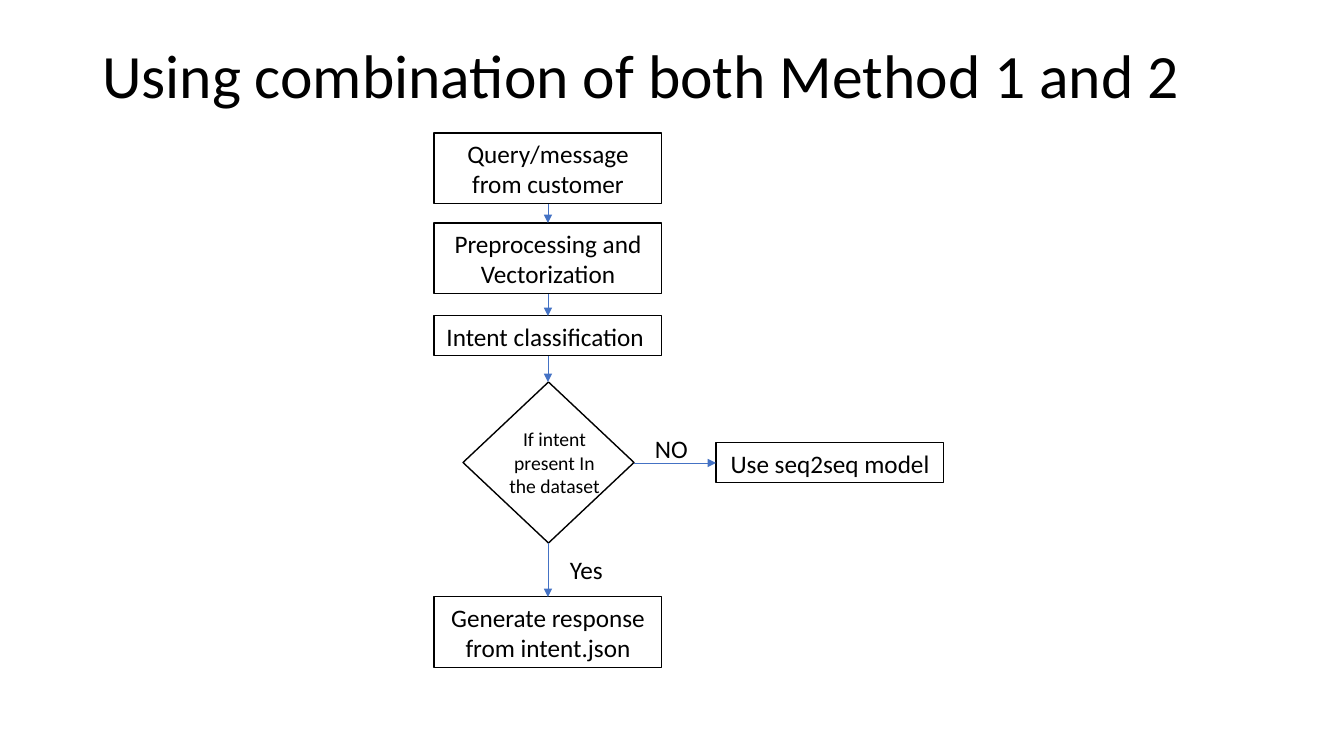
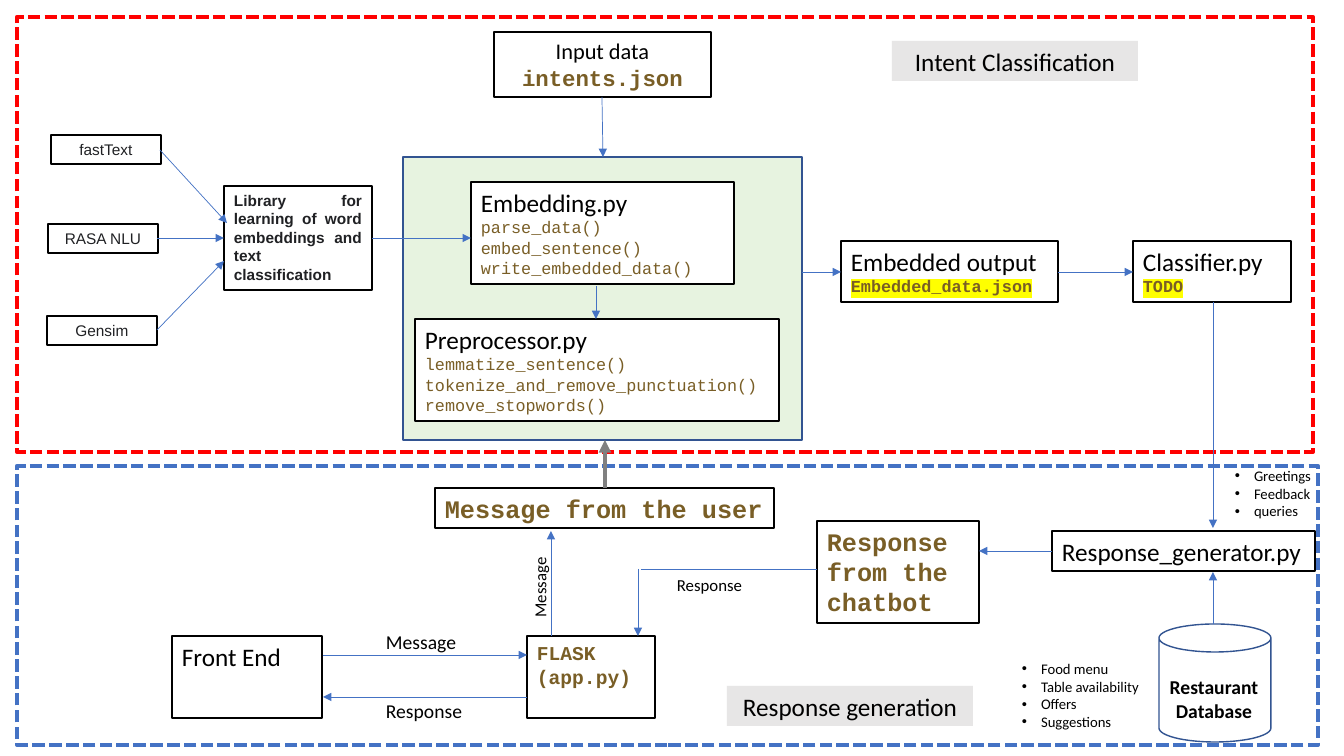
"""Two slides on a chatbot: a decision flowchart and its architecture."""
from dataclasses import dataclass
from itertools import pairwise

from lxml import etree
from pptx import Presentation, util as u
from pptx.dml.color import RGBColor
from pptx.enum import dml, shapes, text
from pptx.oxml.ns import qn
from pptx.slide import Slide

PIXEL = 914400 / 100.8
COLORS = {
    "black": "000000", "white": "FFFFFF", "ink": "202124", "code": "795E26",
    "blue": "4472C4", "navy": "325491", "red": "FF0000", "gray": "808080",
    "tag": "E7E6E6", "panel": "E2F0D9", "marker": "FFFF00",
}
# style: font name, points, bold, colour
STYLES = {
    "title": ("Calibri", 44, False, "black"),
    "heading": ("Calibri", 18, False, "black"),
    "input": ("Calibri", 16, False, "black"),
    "note": ("Calibri", 14, False, "black"),
    "store": ("Calibri", 14, True, "black"),
    "small": ("Calibri", 12, False, "black"),
    "item": ("Calibri", 10.5, False, "black"),
    "library": ("Arial", 11, False, "ink"),
    "purpose": ("Arial", 11, True, "ink"),
    "code": ("Courier New", 12, False, "code"),
    "marked": ("Courier New", 12, True, "code"),
    "app": ("Courier New", 14, True, "code"),
    "file": ("Courier New", 16, True, "code"),
    "message": ("Courier New", 18, True, "code"),
}
LEFT, CENTER, JUSTIFY = (text.PP_ALIGN.LEFT, text.PP_ALIGN.CENTER,
                         text.PP_ALIGN.JUSTIFY)


def px(value):
    """Turn pixels into EMU."""
    return u.Emu(round(value * PIXEL))


def rgb(name):
    """Look up a named colour."""
    return RGBColor.from_string(COLORS[name])


def add_child(parent, tag, **attributes):
    """Append a DrawingML element to its parent."""
    return etree.SubElement(parent, qn(tag), attributes)


def format_run(run, style):
    """Apply a named text style to a run."""
    name, size, bold, color = STYLES[style]
    values = {"name": name, "size": u.Pt(size), "bold": bold}
    for attribute, value in values.items():
        setattr(run.font, attribute, value)
    run.font.color.rgb = rgb(color)
    if style == "marked":
        highlight = etree.Element(qn("a:highlight"))
        add_child(highlight, "a:srgbClr", val=COLORS["marker"])
        run.font._element.find(qn("a:solidFill")).addnext(highlight)


def add_bullet(paragraph):
    """Give a paragraph a round bullet with a hanging indent."""
    properties = paragraph._p.get_or_add_pPr()
    indent = u.Inches(0.19)
    properties.set("marL", str(indent))
    properties.set("indent", str(-indent))
    add_child(properties, "a:buFont", typeface="Arial")
    add_child(properties, "a:buChar", char="•")


def write(shape, lines, align):
    """Write (text, style) lines into a shape from the top."""
    frame = shape.text_frame
    values = {"word_wrap": True, "auto_size": text.MSO_AUTO_SIZE.NONE,
              "vertical_anchor": text.MSO_ANCHOR.TOP}
    for attribute, value in values.items():
        setattr(frame, attribute, value)
    for index, (words, style) in enumerate(lines):
        paragraph = frame.add_paragraph() if index else frame.paragraphs[0]
        paragraph.alignment = align
        run = paragraph.add_run()
        run.text = words
        format_run(run, style)
        if style == "item":
            add_bullet(paragraph)


@dataclass
class Region:
    """A part of a slide; positions are relative to its top left corner."""
    slide: Slide
    left: int
    top: int
    width: int
    height: int

    def place(self, left, top, width, height):
        """Return a box in slide coordinates."""
        return (px(self.left + left), px(self.top + top),
                px(width), px(height))

    def box(self, place, *lines, align=LEFT, fill="white", line="black",
            weight=1, kind=shapes.MSO_SHAPE.RECTANGLE):
        """Add a preset shape, with text if lines are given."""
        shape = self.slide.shapes.add_shape(kind, *self.place(*place))
        shape.shadow.inherit = False
        if fill:
            shape.fill.solid()
            shape.fill.fore_color.rgb = rgb(fill)
        else:
            shape.fill.background()
        if line:
            shape.line.color.rgb = rgb(line)
            shape.line.width = u.Pt(weight)
        else:
            shape.line.fill.background()
        if lines:
            write(shape, lines, align)
        return shape

    def label(self, place, *lines, align=LEFT):
        """Add a plain text box."""
        shape = self.slide.shapes.add_textbox(*self.place(*place))
        write(shape, lines, align)
        return shape

    def tag(self, left, top, words):
        """Add the gray name tag of a region."""
        self.box((left, top, 246, 40), (words, "heading"), align=CENTER,
                 fill="tag", line=None)

    def outline(self, color):
        """Draw the dashed frame of the region."""
        frame = self.box((0, 0, self.width, self.height), fill=None,
                         line=color, weight=3)
        frame.line.dash_style = dml.MSO_LINE.SQUARE_DOT

    def arrow(self, x1, y1, x2, y2, color="blue", weight=0.5, head=True):
        """Draw a straight line, by default with an arrowhead at its end."""
        start = self.place(x1, y1, 0, 0)[:2]
        end = self.place(x2, y2, 0, 0)[:2]
        connector = self.slide.shapes.add_connector(
            shapes.MSO_CONNECTOR.STRAIGHT, *start, *end)
        connector.line.color.rgb = rgb(color)
        connector.line.width = u.Pt(weight)
        if head:
            add_child(connector.line._get_or_add_ln(), "a:tailEnd",
                      type="triangle")
        add_child(connector._element.spPr, "a:effectLst")


def add_title(slide, words):
    """Place and format the title placeholder."""
    title = slide.shapes.title
    values = dict(zip(("left", "top", "width", "height"),
                      map(px, (92, 40, 1159, 77))))
    for attribute, value in values.items():
        setattr(title, attribute, value)
    write(title, [(words, "title")], LEFT)
    title.text_frame.vertical_anchor = text.MSO_ANCHOR.MIDDLE
    title.text_frame.paragraphs[0].line_spacing = 0.9


def draw_flowchart(region):
    """Draw the steps from query to response with one decision."""
    width, middle = 228, 114
    steps = [
        (0, 71, "Query/message from customer"),
        (90, 71, "Preprocessing and Vectorization"),
        (183, 40, "Intent classification "),
        (249, 161, None),
        (464, 71, "Generate response from intent.json"),
    ]
    for top, height, words in steps:
        if words:
            region.box((0, top, width, height), (words, "heading"),
                       align=CENTER, fill=None, weight=0.75)
        else:
            region.box((29, top, 171, height), fill=None,
                       kind=shapes.MSO_SHAPE.DIAMOND)
    for (top, height, _), (next_top, _, _) in pairwise(steps):
        region.arrow(middle, top + height, middle, next_top)
    region.label((64, 289, 113, 82),
                 ("If intent present In the dataset", "note"), align=CENTER)
    region.box((282, 310, width, 40), ("Use seq2seq model", "heading"),
               align=CENTER, fill=None, weight=0.75)
    region.arrow(200, 330, 282, 330)
    region.label((211, 295, 62, 40), ("NO", "heading"))
    region.label((126, 416, 62, 40), ("Yes", "heading"))


def draw_classification(region):
    """Draw the libraries, embedding modules and classifier."""
    region.outline("red")
    region.tag(875, 24, "Intent Classification")
    panel = region.box((386, 140, 399, 283), fill="panel", line="navy")
    color = panel._element.spPr.find(qn("a:solidFill"))[0]
    add_child(color, "a:alpha", val="80000")

    modules = [
        ((454, 165, 263, 102), "Embedding.py", "code",
         ("parse_data()", "embed_sentence()", "write_embedded_data()")),
        ((398, 302, 364, 102), "Preprocessor.py", "code",
         ("lemmatize_sentence()", "tokenize_and_remove_punctuation()",
          "remove_stopwords()")),
        ((824, 224, 217, 61), "Embedded output", "marked",
         ("Embedded_data.json",)),
        ((1116, 224, 158, 61), "Classifier.py", "marked", ("TODO",)),
    ]
    for place, heading, style, details in modules:
        region.box(place, (heading, "heading"),
                   *((detail, style) for detail in details))
    region.box((477, 15, 217, 65), ("Input data", "input"),
               ("intents.json", "file"), align=CENTER)
    region.box((207, 169, 148, 104),
               ("Library for learning of word embeddings and text "
                "classification", "purpose"), align=JUSTIFY)
    for left, top, name in ((34, 118, "fastText"), (31, 207, "RASA NLU"),
                            (30, 299, "Gensim")):
        region.box((left, top, 110, 29), (name, "library"), align=CENTER)
    for ends in ((143, 133, 210, 206), (140, 221, 207, 221),
                 (140, 313, 207, 244), (355, 221, 454, 221),
                 (585, 80, 586, 140), (579, 269, 579, 302),
                 (785, 255, 824, 255), (1041, 255, 1116, 255)):
        region.arrow(*ends)


def draw_response(region):
    """Draw the front end, app, response generator and database."""
    region.outline("blue")
    region.tag(710, 220, "Response generation")
    for place, words, style in (
            ((418, 22, 339, 40), "Message from the user", "message"),
            ((155, 170, 150, 82), "Front End", "heading"),
            ((510, 170, 128, 82), "FLASK (app.py)", "app"),
            ((800, 55, 162, 102), "Response from the chatbot", "message"),
            ((1035, 65, 263, 40), "Response_generator.py", "heading")):
        region.box(place, (words, style))

    region.box((1142, 158, 112, 118), fill=None, line="navy",
               kind=shapes.MSO_SHAPE.CAN)
    region.label((1142, 204, 110, 57), ("Restaurant Database", "store"),
                 align=CENTER)
    for place, items in (
            ((995, 189, 164, 82),
             ("Food menu", "Table availability", "Offers", "Suggestions")),
            ((1208, -4, 110, 64), ("Greetings", "Feedback", "queries"))):
        region.label(place, *((item, "item") for item in items))

    region.label((359, 159, 119, 34), ("Message", "note"))
    region.label((359, 228, 119, 34), ("Response", "note"))
    region.label((650, 104, 119, 30), ("Response", "small"))
    region.label((463, 87, 119, 30), ("Message", "small")).rotation = 270

    for ends in ((306, 189, 510, 189), (510, 231, 306, 231),
                 (534, 170, 534, 65), (621, 103, 621, 170),
                 (1035, 85, 962, 85), (1196, 158, 1196, 106),
                 (1196, -164, 1196, 62)):
        region.arrow(*ends)
    region.arrow(624, 103, 800, 103, head=False)
    region.arrow(588, 22, 588, -26, color="gray", weight=3)


def main():
    """Build and save the presentation."""
    presentation = Presentation()
    presentation.slide_width, presentation.slide_height = px(1344), px(756)
    layouts = presentation.slide_layouts
    title_only, blank = layouts[5], layouts[6]

    slide = presentation.slides.add_slide(title_only)
    add_title(slide, "Using combination of both Method 1 and 2")
    draw_flowchart(Region(slide, 434, 133, 510, 535))

    slide = presentation.slides.add_slide(blank)
    draw_classification(Region(slide, 17, 17, 1296, 435))
    draw_response(Region(slide, 17, 466, 1301, 279))

    presentation.save("out.pptx")


main()
